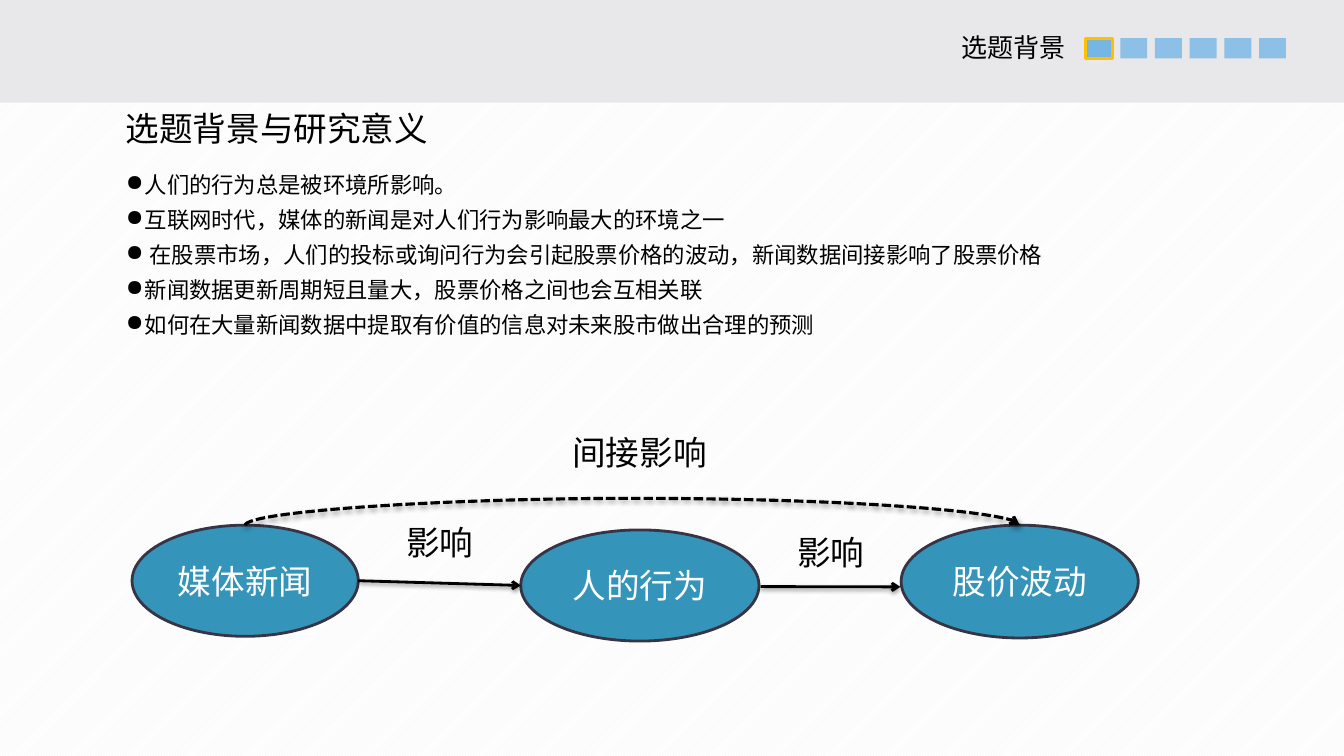
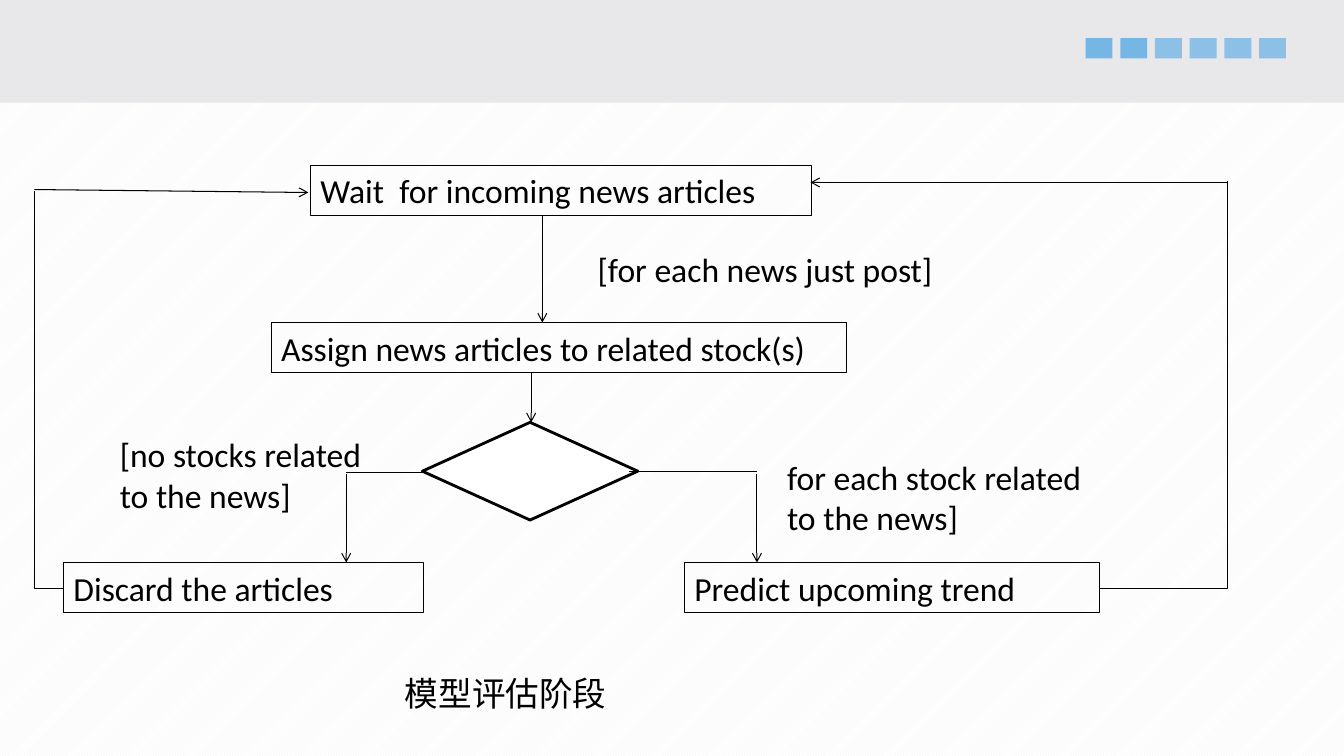
"""Builds two slides on news and share prices: the background and the evaluation flow."""
import lxml.etree
import pptx
import pptx.dml.color
import pptx.enum.dml
import pptx.enum.shapes
import pptx.enum.text
import pptx.oxml.ns
import pptx.util

Pt = pptx.util.Pt
RGBColor = pptx.dml.color.RGBColor
SHAPE = pptx.enum.shapes.MSO_SHAPE
CONNECTOR = pptx.enum.shapes.MSO_CONNECTOR
qn = pptx.oxml.ns.qn
SubElement = lxml.etree.SubElement

BLACK = RGBColor(0x00, 0x00, 0x00)
WHITE = RGBColor(0xFF, 0xFF, 0xFF)
STRIPE = RGBColor(0xF2, 0xF2, 0xF2)
BAND = RGBColor(0xE8, 0xE8, 0xEA)
MARKER = RGBColor(0x75, 0xB6, 0xE5)
HIGHLIGHT = RGBColor(0xFF, 0xC0, 0x00)
TEAL = RGBColor(0x34, 0x94, 0xBA)
DARK = RGBColor(0x37, 0x35, 0x45)
LATIN_FONT = "Calibri"
CHINESE_FONT = "Noto Sans CJK SC"


def set_text(shape, text, size=24, font=LATIN_FONT, color=BLACK, wrap=False):
    """Fill a shape with text in one style."""
    shape.text_frame.text = text
    shape.text_frame.word_wrap = wrap
    for paragraph in shape.text_frame.paragraphs:
        for run in paragraph.runs:
            run.font.size = Pt(size)
            run.font.color.rgb = color
            run.font.name = font
            SubElement(run._r.get_or_add_rPr(), qn("a:ea"), typeface=CHINESE_FONT)


def add_line(slide, kind, begin, end, width=0.75, arrow=False, shadow=False):
    """Draw a black connector between two points."""
    connector = slide.shapes.add_connector(kind, *[Pt(value) for value in begin + end])
    connector.line.color.rgb = BLACK
    connector.line.width = Pt(width)
    if arrow:
        SubElement(connector.line._get_or_add_ln(), qn("a:tailEnd"), type="arrow")
    effects = SubElement(connector._element.spPr, qn("a:effectLst"))
    if shadow:
        outer = SubElement(effects, qn("a:outerShdw"), blurRad=str(Pt(3.1)),
                           dist=str(Pt(1.6)), dir="5400000", rotWithShape="0")
        shade = SubElement(outer, qn("a:srgbClr"), val=str(BLACK))
        SubElement(shade, qn("a:alpha"), val="38000")
    return connector


presentation = pptx.Presentation()
presentation.slide_width = Pt(960)
presentation.slide_height = Pt(540)

background = presentation.slide_master.background.fill
background.patterned()
background.pattern = pptx.enum.dml.MSO_PATTERN.LIGHT_UPWARD_DIAGONAL
background.fore_color.rgb = STRIPE
background.back_color.rgb = WHITE

slides = []
for solid_count in (1, 2):
    slide = presentation.slides.add_slide(presentation.slide_layouts[6])
    slides.append(slide)
    band = slide.shapes.add_shape(SHAPE.RECTANGLE, 0, 0, Pt(960), Pt(73.4))
    band.shadow.inherit = False
    band.fill.solid()
    band.fill.fore_color.rgb = BAND
    band.line.fill.background()
    for index in range(6):
        marker = slide.shapes.add_shape(
            SHAPE.RECTANGLE, Pt(775.4 + 24.8 * index), Pt(27.2), Pt(19.2), Pt(14.6))
        marker.shadow.inherit = False
        marker.fill.solid()
        marker.fill.fore_color.rgb = MARKER
        marker.line.fill.background()
        if index >= solid_count:
            marker_color = marker._element.spPr.find(".//" + qn("a:srgbClr"))
            SubElement(marker_color, qn("a:alpha"), val="80000")
        if solid_count == 1 and index == 0:
            marker.line.color.rgb = HIGHLIGHT
            marker.line.width = Pt(2)

background_slide, flow_slide = slides

section = background_slide.shapes.add_textbox(Pt(679.7), Pt(18.7), Pt(90), Pt(29.5))
set_text(section, "选题背景", 18.6, CHINESE_FONT)
title = background_slide.shapes.add_textbox(Pt(82.8), Pt(73.4), Pt(230.4), Pt(36))
set_text(title, "选题背景与研究意义", font=CHINESE_FONT)

points = background_slide.shapes.add_textbox(Pt(82.8), Pt(113), Pt(787), Pt(158.4))
set_text(points, "\n".join([
    "人们的行为总是被环境所影响。",
    "互联网时代，媒体的新闻是对人们行为影响最大的环境之一",
    " 在股票市场，人们的投标或询问行为会引起股票价格的波动，新闻数据间接影响了股票价格",
    "新闻数据更新周期短且量大，股票价格之间也会互相关联",
    "如何在大量新闻数据中提取有价值的信息对未来股市做出合理的预测",
]), 16, CHINESE_FONT, wrap=True)
for paragraph in points.text_frame.paragraphs:
    paragraph.line_spacing = 1.3
    properties = paragraph._p.get_or_add_pPr()
    properties.set("marL", str(Pt(13.5)))
    properties.set("indent", str(-Pt(13.5)))
    SubElement(properties, qn("a:buChar"), char="●")

ellipses = []
for text, left, top, width, height in [
    ("媒体新闻", 94.3, 375.1, 161.6, 79.4),
    ("人的行为", 372, 378.5, 170.2, 79.4),
    ("股价波动", 643.7, 375.1, 169.4, 80.6),
]:
    ellipse = background_slide.shapes.add_shape(
        SHAPE.OVAL, Pt(left), Pt(top), Pt(width), Pt(height))
    ellipse.shadow.inherit = False
    ellipse.fill.solid()
    ellipse.fill.fore_color.rgb = TEAL
    ellipse.line.color.rgb = DARK
    ellipse.line.width = Pt(2)
    set_text(ellipse, text, color=WHITE, wrap=True)
    ellipse.text_frame.paragraphs[0].alignment = pptx.enum.text.PP_ALIGN.CENTER
    ellipses.append(ellipse)

for begin, end in [((255.9, 414.8), (372, 418.2)), ((543.4, 419), (643.2, 419.2))]:
    add_line(background_slide, CONNECTOR.STRAIGHT, begin, end, 2, arrow=True, shadow=True)

arc = add_line(background_slide, CONNECTOR.CURVE, (175.1, 375.1), (728.4, 375.1), 2.25,
               arrow=True, shadow=True)
arc.line.dash_style = pptx.enum.dml.MSO_LINE.SQUARE_DOT
arc.begin_connect(ellipses[0], 0)
arc.end_connect(ellipses[2], 0)
arc.left, arc.top, arc.width, arc.height = Pt(451.63), Pt(98.45), Pt(0.25), Pt(553.3)
arc._element.spPr.find(qn("a:xfrm")).set("rot", "16200000")
arc_guides = arc._element.spPr.find(qn("a:prstGeom")).find(qn("a:avLst"))
SubElement(arc_guides, qn("a:gd"), name="adj1", fmla="val 7560000")

for text, left, top, width in [
    ("影响", 283, 369.4, 62.6),
    ("影响", 562.3, 376.6, 62.6),
    ("间接影响", 401.8, 305.3, 110.2),
]:
    label = background_slide.shapes.add_textbox(Pt(left), Pt(top), Pt(width), Pt(36))
    set_text(label, text)

for text, left, top, width in [
    ("Wait  for incoming news articles", 221.8, 118.1, 357.8),
    ("Assign news articles to related stock(s)", 193.7, 230.4, 411.1),
    ("Discard the articles", 45.4, 401.8, 257),
    ("Predict upcoming trend", 488.9, 401.8, 296.6),
]:
    step = flow_slide.shapes.add_textbox(Pt(left), Pt(top), Pt(width), Pt(36))
    step.line.color.rgb = BLACK
    step.line.width = Pt(0.75)
    set_text(step, text, wrap=True)

decision = flow_slide.shapes.add_shape(
    SHAPE.DIAMOND, Pt(301.7), Pt(301.7), Pt(153.9), Pt(69.8))
decision.shadow.inherit = False
decision.fill.solid()
decision.fill.fore_color.rgb = WHITE
decision.line.color.rgb = BLACK
decision.line.width = Pt(2)

for text, left, top, width, height in [
    ("[for each news just post]", 419.8, 174.2, 253.4, 36),
    ("[no stocks related\nto the news]", 78.5, 306.7, 192.2, 65.5),
    ("for each stock related\nto the news]", 555.1, 322.6, 229.7, 65.5),
    ("模型评估阶段", 282.2, 477.4, 164.2, 36),
]:
    label = flow_slide.shapes.add_textbox(Pt(left), Pt(top), Pt(width), Pt(height))
    set_text(label, text)

for begin, end, arrow in [
    ((387.4, 154.1), (387.4, 230.4), True),
    ((379.4, 265.7), (379.4, 301.7), True),
    ((301.7, 337.7), (247.3, 337.7), False),
    ((247.3, 338.4), (247.3, 401.8), True),
    ((449.3, 337), (540.7, 337), False),
    ((540.7, 338.4), (540.7, 401.8), True),
    ((877.3, 130.3), (578.9, 130.3), True),
    ((24.5, 135.4), (220.3, 137.5), True),
]:
    add_line(flow_slide, CONNECTOR.STRAIGHT, begin, end, arrow=arrow)

for begin, end in [((785.5, 420.5), (877, 129.6)), ((45.4, 420.5), (24.5, 136.8))]:
    elbow = add_line(flow_slide, CONNECTOR.ELBOW, begin, end)
    elbow._element.spPr.find(qn("a:prstGeom")).set("prst", "bentConnector2")

presentation.save("out.pptx")
